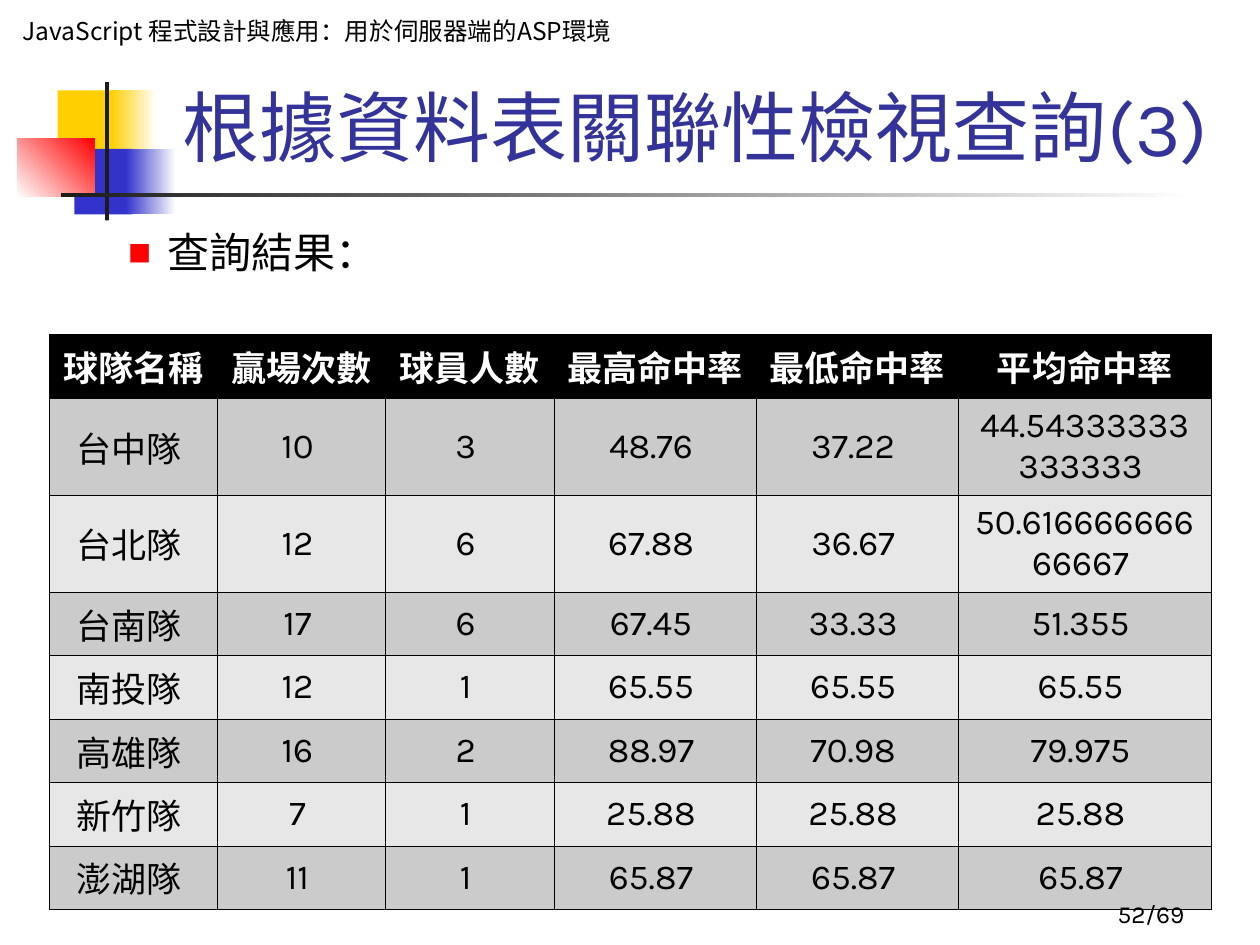
from lxml import etree
from pptx import Presentation
from pptx.dml.color import RGBColor
from pptx.enum.shapes import MSO_SHAPE
from pptx.enum.text import MSO_ANCHOR, MSO_AUTO_SIZE, PP_ALIGN
from pptx.oxml.ns import qn
from pptx.util import Pt

RECT = MSO_SHAPE.RECTANGLE
TOP, MIDDLE, BOTTOM = MSO_ANCHOR.TOP, MSO_ANCHOR.MIDDLE, MSO_ANCHOR.BOTTOM
LEFT, CENTER, RIGHT = PP_ALIGN.LEFT, PP_ALIGN.CENTER, PP_ALIGN.RIGHT
NO_FIT = MSO_AUTO_SIZE.NONE

THEME = {
    "latin": "Karla", "asian": "Noto Sans CJK SC",
    "title": 44, "body": 24, "cell": 20, "small": 14,
    "navy": "333399", "blue": "3333CC", "red": "FF0000", "gold": "FFCF01",
    "ink": "1C1C1C", "black": "000000", "white": "FFFFFF",
    "odd": "CBCBCB", "even": "E7E7E7",
}

COURSE = "JavaScript 程式設計與應用：用於伺服器端的ASP環境"
TITLE = "根據資料表關聯性檢視查詢(3)"
LEAD = "查詢結果："
PAGE = "52/69"
HEAD = ("球隊名稱", "贏場次數", "球員人數", "最高命中率", "最低命中率", "平均命中率")
TEAMS = [
    ("台中隊", "10", "3", "48.76", "37.22", "44.54333333333333"),
    ("台北隊", "12", "6", "67.88", "36.67", "50.61666666666667"),
    ("台南隊", "17", "6", "67.45", "33.33", "51.355"),
    ("南投隊", "12", "1", "65.55", "65.55", "65.55"),
    ("高雄隊", "16", "2", "88.97", "70.98", "79.975"),
    ("新竹隊", "7", "1", "25.88", "25.88", "25.88"),
    ("澎湖隊", "11", "1", "65.87", "65.87", "65.87"),
]
NBSP = chr(160)  # closes every data cell

# left, top, width, height, colours (two make a gradient), angle
MOTIF = [
    (33, 51.7, 35, 37.5, ("gold",), 0),
    (63.5, 51.7, 26, 37.5, ("gold", "white"), 0),
    (42.5, 85, 33, 37.5, ("blue",), 0),
    (72, 85, 28.5, 37.5, ("blue", "white"), 0),
    (9.8, 79, 44.2, 33.5, ("white", "red"), 45),
    (60, 47, 2.3, 79, ("ink",), 0),
    (34.7, 110.3, 648, 2.5, ("ink", "white"), 0),
]
COLS = (96.2, 96.2, 96.2, 115.5, 115.5, 144.4)
TALL, LOW = 55.4, 32
ROWS = (LOW, TALL, TALL) + (LOW,) * 5


def color(name):
    return RGBColor.from_string(THEME[name])


def place(shape, *box):
    shape.left, shape.top, shape.width, shape.height = map(Pt, box)


def write(frame, text, size, ink="black", align=LEFT, face="latin", bold=False):
    para = frame.paragraphs[0]
    para.text = text
    para.alignment = align
    font = para.font
    font.size, font.bold, font.name = Pt(size), bold, THEME[face]
    font.color.rgb = color(ink)
    etree.SubElement(font._element, qn("a:ea"), typeface=THEME["asian"])


def setup(frame, anchor):
    frame.word_wrap = True
    frame.auto_size = NO_FIT
    frame.vertical_anchor = anchor


def block(shapes, left, top, width, height, names, angle):
    shape = shapes.add_shape(RECT, Pt(left), Pt(top), Pt(width), Pt(height))
    shape.shadow.inherit = False
    shape.line.fill.background()
    if len(names) == 1:
        shape.fill.solid()
        shape.fill.fore_color.rgb = color(names[0])
    else:
        shape.fill.gradient()
        shape.fill.gradient_angle = angle
        for stop, name in zip(shape.fill.gradient_stops, names):
            stop.color.rgb = color(name)
    return shape


def bullet(para):
    props = para._p.get_or_add_pPr()
    props.set("marL", str(Pt(58.3)))
    props.set("indent", str(Pt(-22.3)))
    tint = etree.SubElement(props, qn("a:buClr"))
    etree.SubElement(tint, qn("a:srgbClr"), val=THEME["red"])
    etree.SubElement(props, qn("a:buSzPct"), val="55000")
    etree.SubElement(props, qn("a:buFont"), typeface=THEME["asian"])
    etree.SubElement(props, qn("a:buChar"), char="■")


def border(cell):
    props = cell._tc.get_or_add_tcPr()
    for side in ("lnL", "lnR", "lnT", "lnB"):
        line = etree.SubElement(props, qn("a:" + side), w=str(Pt(0.45)))
        fill = etree.SubElement(line, qn("a:solidFill"))
        etree.SubElement(fill, qn("a:srgbClr"), val=THEME["black"])


def results(shapes):
    data = [HEAD] + [[text + NBSP for text in team] for team in TEAMS]
    table = shapes.add_table(len(ROWS), len(COLS), Pt(28.1), Pt(191.3),
                             Pt(sum(COLS)), Pt(sum(ROWS))).table
    for col, width in zip(table.columns, COLS):
        col.width = Pt(width)
    for r, (row, height) in enumerate(zip(table.rows, ROWS)):
        row.height = Pt(height)
        head = r == 0
        back = "black" if head else "odd" if r % 2 else "even"
        for cell, text in zip(row.cells, data[r]):
            border(cell)
            cell.fill.solid()
            cell.fill.fore_color.rgb = color(back)
            cell.vertical_anchor = MIDDLE
            write(cell.text_frame, text, THEME["cell"],
                  "white" if head else "black", CENTER, bold=head)


def main():
    deck = Presentation()
    deck.slide_width, deck.slide_height = Pt(720), Pt(540)
    slide = deck.slides.add_slide(deck.slide_layouts[1])
    shapes = slide.shapes
    title, body = slide.placeholders

    for part in MOTIF:
        block(shapes, *part)
    course = block(shapes, 5.8, 5.8, 354, 41, ("white",), 0)
    setup(course.text_frame, TOP)
    write(course.text_frame, COURSE, THEME["small"], face="asian")

    for holder in (title, body):  # text goes above the motif
        shapes._spTree.append(holder._element)
    place(title, 90.7, 41.8, 613.5, 59.8)
    setup(title.text_frame, BOTTOM)
    write(title.text_frame, TITLE, THEME["title"], "navy", CENTER)

    place(body, 30.2, 126, 675.4, 365.8)
    setup(body.text_frame, TOP)
    para = body.text_frame.paragraphs[0]
    para.level = 1
    para.space_before = Pt(0)
    bullet(para)
    write(body.text_frame, LEAD, THEME["body"])

    results(shapes)
    page = shapes.add_textbox(Pt(534.2), Pt(498.2), Pt(149.8), Pt(36))
    setup(page.text_frame, BOTTOM)
    write(page.text_frame, PAGE, THEME["small"], align=RIGHT)

    deck.save("out.pptx")


if __name__ == "__main__":
    main()
